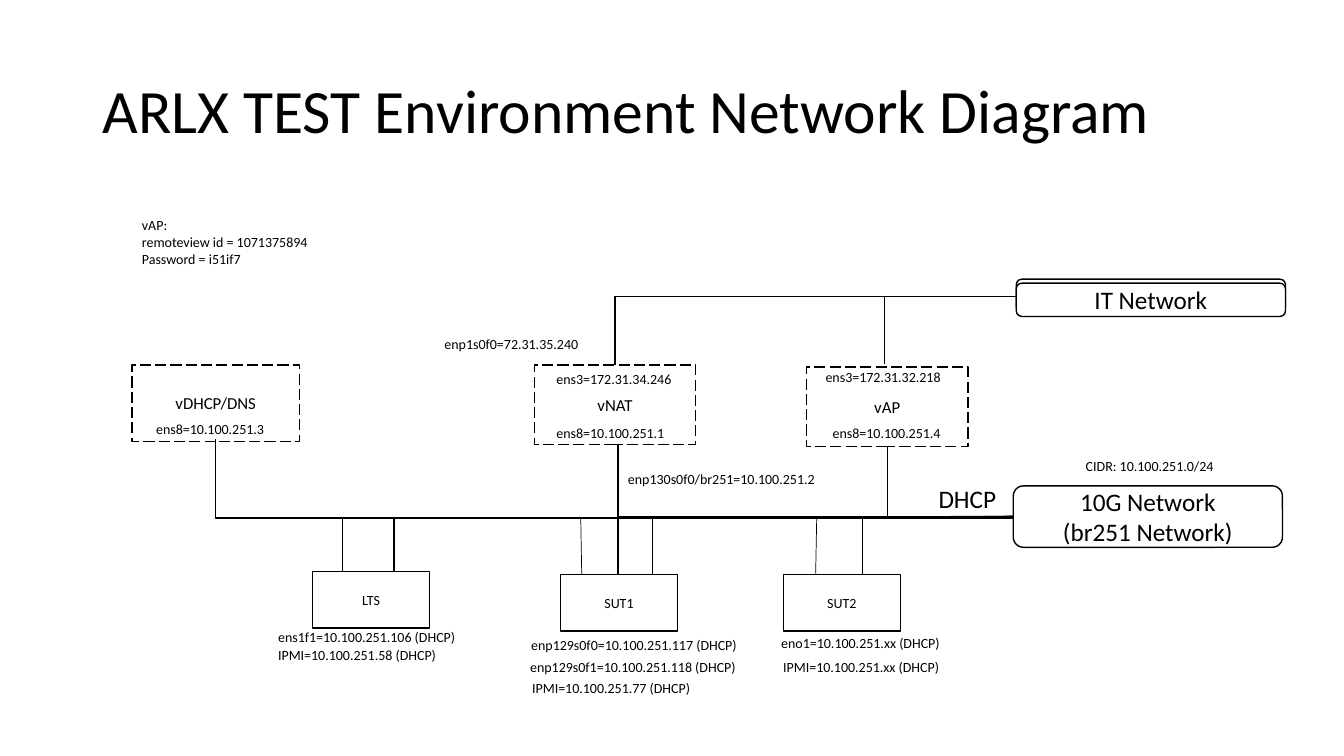
from pptx import Presentation
from pptx.dml.color import RGBColor
from pptx.enum.dml import MSO_LINE_DASH_STYLE as DASH
from pptx.enum.shapes import MSO_CONNECTOR as LINK, MSO_SHAPE as SHAPE
from pptx.enum.text import MSO_ANCHOR, MSO_AUTO_SIZE, PP_ALIGN
from pptx.oxml.ns import qn
from pptx.util import Inches, Pt
from lxml.etree import SubElement

BLACK = RGBColor(0, 0, 0)
WHITE = RGBColor(255, 255, 255)


class Diagram:
    """Holds the slide and the style of the network diagram."""

    font = "Calibri"

    def __init__(self, slide):
        """Start drawing on the given slide."""
        self.shapes = slide.shapes

    def set_text(self, tf, text, size, align=PP_ALIGN.LEFT):
        """Fill a text frame, one paragraph per line of text."""
        tf.text = text
        for p in tf.paragraphs:
            p.alignment = align
            p.font.name, p.font.size = self.font, Pt(size)
            p.font.color.rgb = BLACK

    def title(self, text):
        """Add the slide title."""
        tf = self.shapes.add_textbox(Inches(0.92), Inches(0.4), Inches(11.5), Inches(1.45)).text_frame
        tf.word_wrap = True
        tf.vertical_anchor = MSO_ANCHOR.MIDDLE
        self.set_text(tf, text, 44)
        tf.paragraphs[0].line_spacing = 0.9

    def label(self, x, y, w, text, h=0.27, size=10):
        """Add an unwrapped label."""
        tf = self.shapes.add_textbox(Inches(x), Inches(y), Inches(w), Inches(h)).text_frame
        tf.word_wrap = False
        tf.auto_size = MSO_AUTO_SIZE.SHAPE_TO_FIT_TEXT
        self.set_text(tf, text, size)

    def box(self, x, y, w, h, text, size, kind=SHAPE.RECTANGLE, dash=None):
        """Add a white box with a black outline and centred text."""
        s = self.shapes.add_shape(kind, Inches(x), Inches(y), Inches(w), Inches(h))
        s.shadow.inherit = False
        s.fill.solid()
        s.fill.fore_color.rgb = WHITE
        s.line.color.rgb, s.line.width = BLACK, Pt(1)
        if dash:
            s.line.dash_style = dash
        s.text_frame.word_wrap = True
        s.text_frame.vertical_anchor = MSO_ANCHOR.MIDDLE
        self.set_text(s.text_frame, text, size, PP_ALIGN.CENTER)

    def wire(self, x1, y1, x2, y2, width=0.5, kind=LINK.STRAIGHT):
        """Add a connector and return its shape properties."""
        s = self.shapes.add_connector(kind, Inches(x1), Inches(y1), Inches(x2), Inches(y2))
        s.line.color.rgb, s.line.width = BLACK, Pt(width)
        sp_pr = s._element.spPr
        SubElement(sp_pr, qn("a:effectLst"))
        return sp_pr

    def elbow(self, x1, y1, x2, y2, width=1):
        """Add a one-bend connector that runs vertically, then horizontally."""
        cx, cy = (x1 + x2) / 2, (y1 + y2) / 2
        half_w, half_h = (y1 - y2) / 2, (x2 - x1) / 2
        sp_pr = self.wire(cx - half_w, cy - half_h, cx + half_w, cy + half_h, width, LINK.ELBOW)
        sp_pr.find(qn("a:xfrm")).set("rot", str(270 * 60000))
        sp_pr.find(qn("a:prstGeom")).set("prst", "bentConnector2")


prs = Presentation()
prs.slide_width, prs.slide_height = Inches(13.33), Inches(7.5)
d = Diagram(prs.slides.add_slide(prs.slide_layouts[6]))
d.title("ARLX TEST Environment Network Diagram")

# Virtual machines and physical hosts
for x, y, w, h, name in [(5.3, 3.62, 1.6, 0.79, "vNAT"),
                         (1.31, 3.62, 1.66, 0.76, "vDHCP/DNS"),
                         (8, 3.64, 1.6, 0.79, "vAP")]:
    d.box(x, y, w, h, name, 12, dash=DASH.LONG_DASH)
for x, y, name in [(3.1, 5.67, "LTS"), (5.56, 5.7, "SUT1"), (7.77, 5.7, "SUT2")]:
    d.box(x, y, 1.16, 0.56, name, 10)

# Wires to the IT network, then to the 10G network
IT_Y, BUS_Y = 2.94, 5.14
d.elbow(6.1, 3.62, 10.08, IT_Y)
d.elbow(8.77, 3.61, 6.1, IT_Y, 0.5)
for x, y, end, width in [(2.14, 4.36, 10.3, 1), (3.91, 5.67, 10.28, 1),
                         (6.13, 4.41, 10.07, 1), (8.55, 5.7, 10.26, 0.5),
                         (8.8, 4.43, 10.02, 0.5)]:
    d.elbow(x, y, end, BUS_Y, width)
d.elbow(6.13, 5.7, 10.06, 5.13)
for ends in [(5.77, 5.7, 5.76, BUS_Y), (6.47, 5.69, 6.47, 5.13),
             (3.4, 5.67, 3.4, 5.13), (8.09, 5.69, 8.1, 5.15),
             (3.4, BUS_Y, 10.02, BUS_Y), (5.77, BUS_Y, 10.05, 5.12),
             (8.09, BUS_Y, 10.05, 5.12)]:
    d.wire(*ends)

# Networks
for x, y, h, name in [(10.08, 2.77, 0.33, "IT Network"),
                      (10.08, 2.81, 0.33, "IT Network"),
                      (10.05, 4.82, 0.61, "10G Network\n(br251 Network)")]:
    d.box(x, y, 2.67, h, name, 18, SHAPE.ROUNDED_RECTANGLE)

# Interface addresses
for x, y, w, text in [
    (4.31, 3.28, 1.59, "enp1s0f0=72.31.35.240"),
    (5.42, 3.63, 1.37, "ens3=172.31.34.246"),
    (8.09, 3.61, 1.37, "ens3=172.31.32.218"),
    (1.45, 4.12, 1.29, "ens8=10.100.251.3"),
    (5.42, 4.16, 1.29, "ens8=10.100.251.1"),
    (8.16, 4.16, 1.29, "ens8=10.100.251.4"),
    (6.13, 4.62, 2.15, "enp130s0f0/br251=10.100.251.2"),
    (10.67, 4.49, 1.49, "CIDR: 10.100.251.0/24"),
    (2.66, 6.19, 2.05, "ens1f1=10.100.251.106 (DHCP)"),
    (2.66, 6.36, 1.86, "IPMI=10.100.251.58 (DHCP)"),
    (5.17, 6.27, 2.34, "enp129s0f0=10.100.251.117 (DHCP)"),
    (5.16, 6.48, 2.34, "enp129s0f1=10.100.251.118 (DHCP)"),
    (5.18, 6.69, 1.86, "IPMI=10.100.251.77 (DHCP)"),
    (7.65, 6.25, 1.86, "eno1=10.100.251.xx (DHCP)"),
    (7.67, 6.48, 1.84, "IPMI=10.100.251.xx (DHCP)"),
]:
    d.label(x, y, w, text)
d.label(9.21, 4.75, 0.78, "DHCP", h=0.4, size=18)
d.label(1.31, 2.1, 1.87, "vAP:\nremoteview id = 1071375894\nPassword = i51if7", h=0.91)

prs.save("out.pptx")
